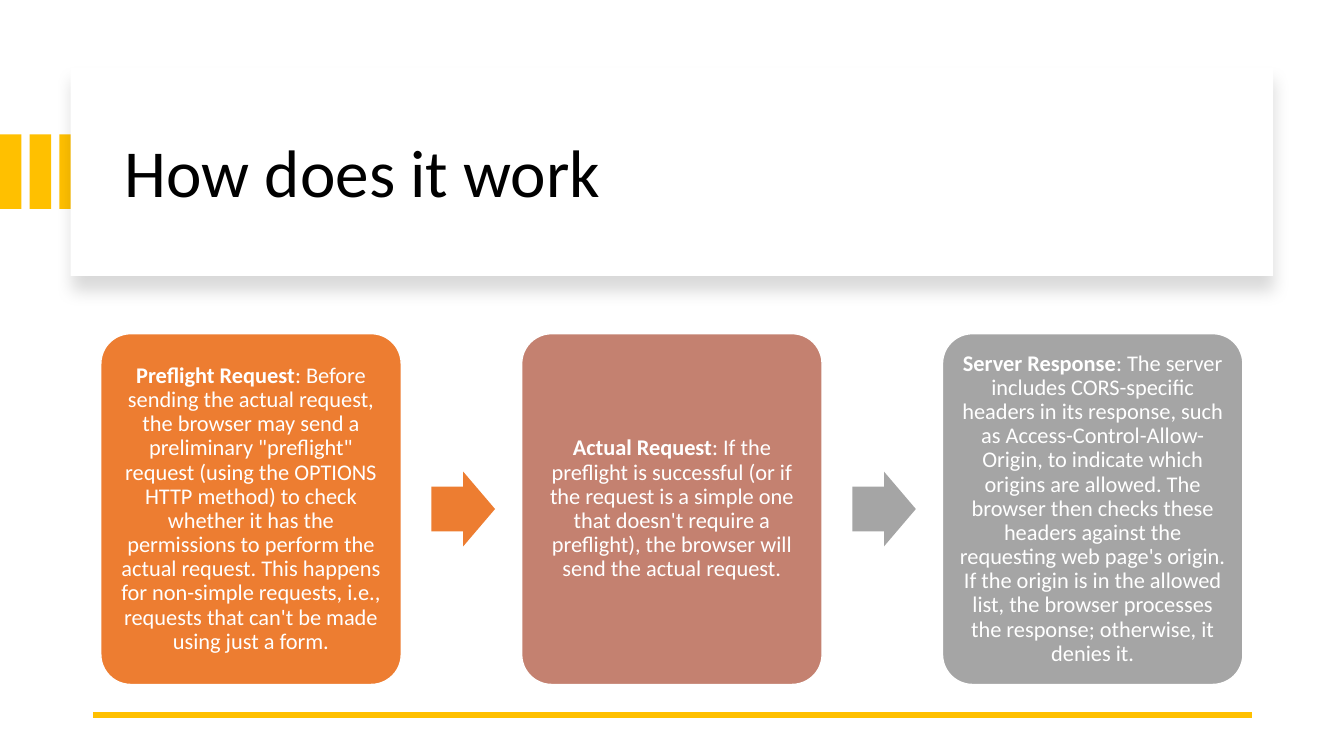
from lxml.etree import SubElement
from pptx import Presentation
from pptx.dml.color import RGBColor
from pptx.enum.shapes import MSO_CONNECTOR, MSO_SHAPE
from pptx.enum.text import MSO_ANCHOR, PP_ALIGN
from pptx.oxml.ns import qn
from pptx.util import Pt

TITLE = "How does it work"
STEPS = [
    ("Preflight Request",
     ": Before sending the actual request, the browser may send a preliminary \"preflight\" request "
     "(using the OPTIONS HTTP method) to check whether it has the permissions to perform the actual "
     "request. This happens for non-simple requests, i.e., requests that can't be made using just a form.",
     "orange"),
    ("Actual Request",
     ": If the preflight is successful (or if the request is a simple one that doesn't require a "
     "preflight), the browser will send the actual request.",
     "rose"),
    ("Server Response",
     ": The server includes CORS-specific headers in its response, such as Access-Control-Allow-Origin, "
     "to indicate which origins are allowed. The browser then checks these headers against the requesting "
     "web page's origin. If the origin is in the allowed list, the browser processes the response; "
     "otherwise, it denies it.",
     "gray"),
]
ARROW_COLORS = ["orange", "gray"]
COLORS = {"gold": "FFC000", "orange": "ED7D31", "rose": "C48170",
          "gray": "A5A5A5", "white": "FFFFFF", "black": "000000"}
FONT = "Calibri"

BAR_W, BAR_H, BAR_TOP, BAR_STEP = 15.3, 53.3, 96, 21.2
CARD_W, CARD_H, CARD_LEFT, CARD_TOP, CARD_STEP = 214.6, 250.6, 72, 238.3, 300.6
ARROW_W, ARROW_H, ARROW_GAP = 45.4, 53.3, 21.6


def rgb(name):
    return RGBColor.from_string(COLORS[name])


def add_shape(s, kind, x, y, w, h, fill):
    sp = s.shapes.add_shape(kind, Pt(x), Pt(y), Pt(w), Pt(h))
    sp.shadow.inherit = False
    sp.fill.solid()
    sp.fill.fore_color.rgb = rgb(fill)
    sp.line.fill.background()
    return sp


def add_run(p, text, size, color, bold=False):
    r = p.add_run()
    r.text = text
    r.font.name = FONT
    r.font.size = Pt(size)
    r.font.bold = bold
    r.font.color.rgb = rgb(color)


def add_shadow(sp):
    effects = sp._element.spPr.find(qn("a:effectLst"))
    shadow = SubElement(effects, qn("a:outerShdw"), blurRad=str(Pt(11)), dist=str(Pt(10)),
                        dir="5400000", algn="t", rotWithShape="0")
    color = SubElement(shadow, qn("a:srgbClr"), val=COLORS["black"])
    SubElement(color, qn("a:alpha"), val="15000")


def add_header(s):
    for i in range(3):
        add_shape(s, MSO_SHAPE.RECTANGLE, i * BAR_STEP, BAR_TOP, BAR_W, BAR_H, "gold")
    panel = add_shape(s, MSO_SHAPE.RECTANGLE, 50.4, 48.2, 859, 149, "white")
    add_shadow(panel)
    tf = s.shapes.add_textbox(Pt(82.1), Pt(64.1), Pt(801.4), Pt(122.4)).text_frame
    tf.word_wrap = True
    tf.vertical_anchor = MSO_ANCHOR.MIDDLE
    p = tf.paragraphs[0]
    p.line_spacing = 0.9
    add_run(p, TITLE, 48, "black")


def add_rule(s):
    rule = s.shapes.add_connector(MSO_CONNECTOR.STRAIGHT, Pt(894.2), Pt(510.5), Pt(66.2), Pt(510.5))
    rule.line.color.rgb = rgb("gold")
    rule.line.width = Pt(4.5)
    SubElement(rule._element.spPr, qn("a:effectLst"))


def add_card(s, x, head, body, fill):
    card = add_shape(s, MSO_SHAPE.ROUNDED_RECTANGLE, x, CARD_TOP, CARD_W, CARD_H, fill)
    card.adjustments[0] = 0.1
    card.line.color.rgb = rgb("white")
    card.line.width = Pt(1)
    tf = card.text_frame
    tf.word_wrap = True
    tf.vertical_anchor = MSO_ANCHOR.MIDDLE
    tf.margin_left = tf.margin_right = tf.margin_top = tf.margin_bottom = Pt(4.8)
    p = tf.paragraphs[0]
    p.alignment = PP_ALIGN.CENTER
    p.line_spacing = 0.9
    add_run(p, head, 16, "white", True)
    add_run(p, body, 16, "white")


def main():
    prs = Presentation()
    prs.slide_width, prs.slide_height = Pt(960), Pt(540)
    s = prs.slides.add_slide(prs.slide_layouts[6])
    add_header(s)
    add_rule(s)
    for i, (head, body, fill) in enumerate(STEPS):
        add_card(s, CARD_LEFT + i * CARD_STEP, head, body, fill)
    for i, fill in enumerate(ARROW_COLORS):
        x = CARD_LEFT + i * CARD_STEP + CARD_W + ARROW_GAP
        y = CARD_TOP + (CARD_H - ARROW_H) / 2
        arrow = add_shape(s, MSO_SHAPE.RIGHT_ARROW, x, y, ARROW_W, ARROW_H, fill)
        arrow.adjustments[0] = 0.6
        arrow.adjustments[1] = 0.5
    prs.save("out.pptx")


if __name__ == "__main__":
    main()
